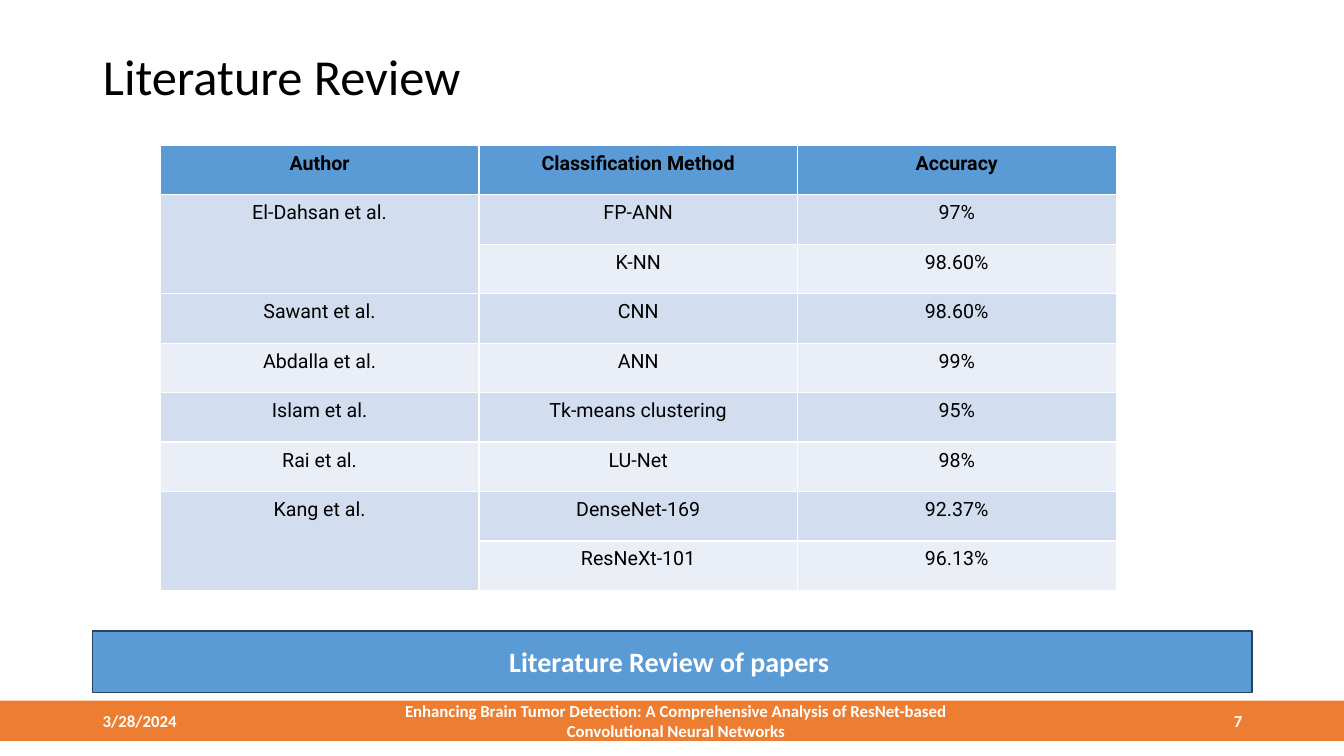
import pptx
import pptx.util
import pptx.dml.color
import pptx.enum.shapes
import pptx.enum.text

Inches = pptx.util.Inches
Pt = pptx.util.Pt
RGBColor = pptx.dml.color.RGBColor
Align = pptx.enum.text.PP_ALIGN
Anchor = pptx.enum.text.MSO_ANCHOR

BLACK = RGBColor(0x00, 0x00, 0x00)
WHITE = RGBColor(0xFF, 0xFF, 0xFF)
ORANGE = RGBColor(0xED, 0x7D, 0x31)
BLUE = RGBColor(0x5B, 0x9B, 0xD5)
NAVY = RGBColor(0x28, 0x44, 0x5D)
BANDS = [RGBColor(0xD2, 0xDE, 0xEF), RGBColor(0xEA, 0xEF, 0xF7)]

HEADER = ["Author", "Classification Method", "Accuracy"]
PAPERS = [
    ("El-Dahsan et al.", [("FP-ANN", "97%"), ("K-NN", "98.60%")]),
    ("Sawant et al.", [("CNN", "98.60%")]),
    ("Abdalla et al.", [("ANN", "99%")]),
    ("Islam et al.", [("Tk-means clustering", "95%")]),
    ("Rai et al.", [("LU-Net", "98%")]),
    ("Kang et al.", [("DenseNet-169", "92.37%"), ("ResNeXt-101", "96.13%")]),
]
FOOTER = [
    ("3/28/2024", 0.92, 3, Align.LEFT),
    ("Enhancing Brain Tumor Detection: A Comprehensive Analysis of "
     "ResNet-based Convolutional Neural Networks", 3.55, 6.31, Align.CENTER),
    ("7", 9.42, 3, Align.RIGHT),
]


def write(frame, text, size, color, bold=False, align=Align.LEFT, face="Calibri"):
    frame.text = text
    frame.word_wrap = True
    line = frame.paragraphs[0]
    line.alignment = align
    for run in line.runs:
        run.font.size = Pt(size)
        run.font.name = face
        run.font.bold = bold
        run.font.color.rgb = color
    return line


def add_title(slide, text):
    title = slide.shapes.title
    title.left, title.top = Inches(0.92), Inches(0.4)
    title.width, title.height = Inches(11.5), Inches(0.77)
    line = write(title.text_frame, text, 36, BLACK)
    line.line_spacing = 0.9
    title.text_frame.vertical_anchor = Anchor.MIDDLE


def add_bar(slide, left, top, width, height, fill, edge=None):
    bar = slide.shapes.add_shape(
        pptx.enum.shapes.MSO_SHAPE.RECTANGLE,
        Inches(left), Inches(top), Inches(width), Inches(height))
    bar.shadow.inherit = False
    bar.fill.solid()
    bar.fill.fore_color.rgb = fill
    if edge is None:
        bar.line.fill.background()
    else:
        bar.line.color.rgb = edge
        bar.line.width = Pt(1)
    return bar


def add_footer(slide):
    add_bar(slide, 0, 6.95, 13.33, 0.4, ORANGE)
    for text, left, width, align in FOOTER:
        box = slide.shapes.add_textbox(
            Inches(left), Inches(6.95), Inches(width), Inches(0.4))
        write(box.text_frame, text, 12, WHITE, True, align)
        box.text_frame.vertical_anchor = Anchor.MIDDLE


def add_banner(slide, text):
    bar = add_bar(slide, 0.92, 6.26, 11.5, 0.61, BLUE, NAVY)
    write(bar.text_frame, text, 20, WHITE, True, Align.CENTER)
    bar.text_frame.vertical_anchor = Anchor.MIDDLE


def fill_cell(cell, text, fill, bold=False):
    cell.fill.solid()
    cell.fill.fore_color.rgb = fill
    line = write(cell.text_frame, text, 14, BLACK, bold, Align.CENTER, "Roboto")
    line.line_spacing = 1.07
    line.space_after = Pt(8)


def add_papers(slide):
    count = 1 + sum(len(tests) for author, tests in PAPERS)
    table = slide.shapes.add_table(
        count, len(HEADER),
        Inches(1.59), Inches(1.44), Inches(9.48), Inches(4.42)).table
    for col, text in enumerate(HEADER):
        fill_cell(table.cell(0, col), text, BLUE, True)
    row = 1
    for author, tests in PAPERS:
        first = table.cell(row, 0)
        if len(tests) > 1:
            first.merge(table.cell(row + len(tests) - 1, 0))
        fill_cell(first, author, BANDS[(row - 1) % 2])
        for test in tests:
            for col, text in enumerate(test, 1):
                fill_cell(table.cell(row, col), text, BANDS[(row - 1) % 2])
            row += 1


def main():
    deck = pptx.Presentation()
    deck.slide_width, deck.slide_height = Inches(13.33), Inches(7.5)
    slide = deck.slides.add_slide(deck.slide_layouts.get_by_name("Title Only"))
    add_title(slide, "Literature Review")
    add_footer(slide)
    add_banner(slide, "Literature Review of papers ")
    add_papers(slide)
    deck.save("out.pptx")


if __name__ == "__main__":
    main()
